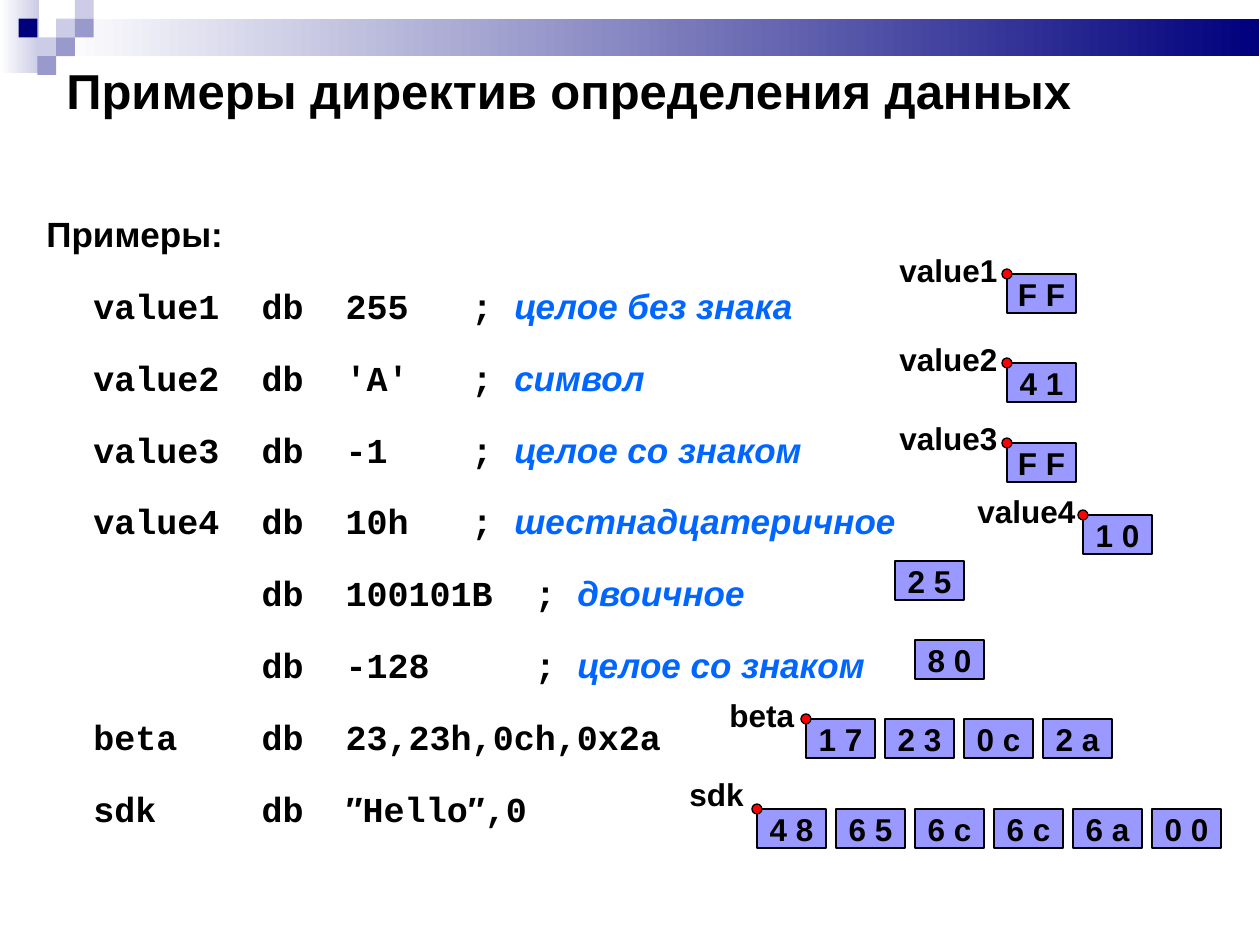
"""Build the slide of data definition directives and the bytes they produce."""
import dataclasses

import pptx
import pptx.dml.color
import pptx.enum.shapes
import pptx.enum.text
import pptx.util

SHAPE = pptx.enum.shapes.MSO_SHAPE
ANCHOR = pptx.enum.text.MSO_ANCHOR
ALIGN = pptx.enum.text.PP_ALIGN


@dataclasses.dataclass(frozen=True)
class Theme:
    sans: str = "Arial"
    mono: str = "Courier New"
    ink: str = "000000"
    note: str = "0066FF"
    cell: str = "9999FF"
    dot: str = "FF0000"
    white: str = "FFFFFF"
    pale: str = "CCCCE6"
    mid: str = "9999CC"
    navy: str = "00007D"
    title: int = 28
    body: int = 20
    label: int = 18


def emu(px):
    return pptx.util.Emu(round(px * 914400 / 126))


def color(code):
    return pptx.dml.color.RGBColor.from_string(code)


class Deck:
    def __init__(self, theme, wide, high):
        self.theme = theme
        self.file = pptx.Presentation()
        self.file.slide_width = emu(wide)
        self.file.slide_height = emu(high)
        self.slide = self.file.slides.add_slide(self.file.slide_layouts[6])

    def run(self, para, text, size, font=None, tint=None, slant=False):
        run = para.add_run()
        run.text = text
        run.font.name = font or self.theme.sans
        run.font.size = pptx.util.Pt(size)
        run.font.bold = True
        run.font.italic = slant
        run.font.color.rgb = color(tint or self.theme.ink)

    def shape(self, kind, x, y, w, h, fill, line=True):
        item = self.slide.shapes.add_shape(kind, emu(x), emu(y), emu(w), emu(h))
        item.shadow.inherit = False
        item.fill.solid()
        item.fill.fore_color.rgb = color(fill)
        if line:
            item.line.color.rgb = color(self.theme.ink)
            item.line.width = pptx.util.Pt(0.75)
        else:
            item.line.fill.background()
        return item

    def fade(self, x, y, w, h, start, end):
        fill = self.shape(SHAPE.RECTANGLE, x, y, w, h, start, False).fill
        fill.gradient()
        fill.gradient_angle = 0
        for stop, code in zip(fill.gradient_stops, (start, end)):
            stop.color.rgb = color(code)

    def box(self, x, y, w, h):
        frame = self.slide.shapes.add_textbox(emu(x), emu(y), emu(w), emu(h)).text_frame
        frame.word_wrap = True
        return frame

    def title(self, text, x, y, w, h):
        frame = self.box(x, y, w, h)
        frame.vertical_anchor = ANCHOR.MIDDLE
        self.run(frame.paragraphs[0], text, self.theme.title)

    def label(self, text, x, y, w):
        frame = self.box(x, y, w, 50)
        frame.margin_right = 0
        self.run(frame.paragraphs[0], text, self.theme.label)

    def cell(self, text, x, y):
        frame = self.shape(SHAPE.RECTANGLE, x, y, 69, 39, self.theme.cell).text_frame
        frame.word_wrap = False
        frame.vertical_anchor = ANCHOR.MIDDLE
        para = frame.paragraphs[0]
        para.alignment = ALIGN.CENTER
        self.run(para, text, self.theme.label)

    def cells(self, texts, x, y):
        for col, text in enumerate(texts):
            self.cell(text, x + 79 * col, y)

    def dot(self, x, y):
        self.shape(SHAPE.OVAL, x - 5, y - 5, 10, 10, self.theme.dot)

    def listing(self, head, rows, x, y, w, h):
        theme = self.theme
        frame = self.box(x, y, w, h)
        self.run(frame.paragraphs[0], head, theme.body)
        for row in rows:
            para = frame.add_paragraph()
            para._p.get_or_add_pPr().set("marL", str(emu(47)))
            para.line_spacing = 1.5
            para.space_before = pptx.util.Pt(5.1)
            for kind, text in row:
                if kind == "note":
                    self.run(para, text, theme.body, tint=theme.note, slant=True)
                else:
                    font = theme.mono if kind == "code" else theme.sans
                    self.run(para, text, theme.body, font)

    def banner(self):
        theme = self.theme
        self.fade(0, 0, 39, 73, theme.white, theme.pale)
        self.fade(57, 19, 1202, 37, theme.white, theme.navy)
        tiles = [
            (3, 1, theme.pale), (4, 0, theme.pale), (4, 1, theme.mid),
            (2, 2, theme.pale), (1, 1, theme.navy), (3, 2, theme.mid),
            (2, 3, theme.mid),
        ]
        unit = 18.75
        for col, row, fill in tiles:
            self.shape(SHAPE.RECTANGLE, col * unit, row * unit, unit, unit, fill, False)


NOTED = [
    ("value1  db  255   ; ", "целое без знака"),
    ("value2  db  ′A′   ; ", "символ"),
    ("value3  db  -1    ; ", "целое со знаком"),
    ("value4  db  10h   ; ", "шестнадцатеричное"),
    ("        db  100101B  ; ", "двоичное"),
    ("        db  -128     ; ", "целое со знаком"),
]
ROWS = [[("code", code), ("note", note)] for code, note in NOTED] + [
    [("code", "beta    db  23,23h,0ch,0x2a")],
    [("code", "sdk     db  "), ("sans", "″"), ("code", "Hello"),
     ("sans", "″"), ("code", ",0")],
]
NAMED = [
    ("value1", 887, 245, 123, 1007, 274, ["F F"]),
    ("value2", 887, 334, 123, 1007, 363, ["4 1"]),
    ("value3", 887, 413, 123, 1007, 443, ["F F"]),
    ("value4", 965, 486, 123, 1083, 515, ["1 0"]),
    ("beta", 717, 690, 89, 806, 719, ["1 7", "2 3", "0 с", "2 a"]),
    ("sdk", 677, 769, 79, 757, 809, ["4 8", "6 5", "6 с", "6 с", "6 а", "0 0"]),
]
PLAIN = [("2 5", 895, 561), ("8 0", 915, 640)]


def main():
    deck = Deck(Theme(), 1260, 945)
    deck.banner()
    deck.title("Примеры директив определения данных", 54, 54, 1206, 72)
    deck.listing("Примеры:", ROWS, 34, 206, 1226, 739)
    for name, left, top, wide, x, y, texts in NAMED:
        deck.label(name, left, top, wide)
        deck.cells(texts, x, y)
        deck.dot(x, y)
    for text, x, y in PLAIN:
        deck.cell(text, x, y)
    deck.file.save("out.pptx")


if __name__ == "__main__":
    main()
